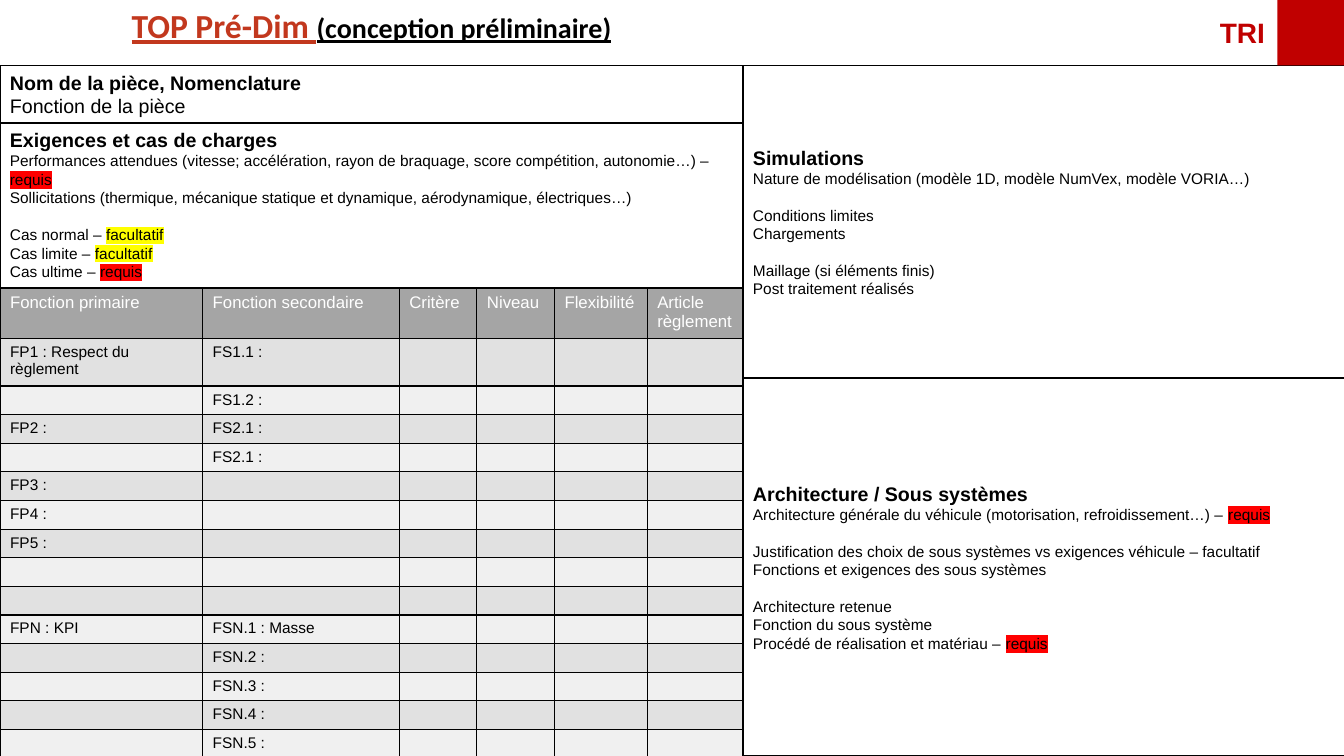
from dataclasses import dataclass

import pptx
import pptx.dml.color
import pptx.enum.shapes
import pptx.enum.text
import pptx.oxml
import pptx.oxml.ns
import pptx.util
from pptx.util import Inches

ANCHOR = pptx.enum.text.MSO_ANCHOR
CENTER = pptx.enum.text.PP_ALIGN.CENTER


@dataclass(frozen=True)
class Theme:
    font: str = "Arial"
    title_font: str = "Calibri"
    black: str = "000000"
    white: str = "FFFFFF"
    rust: str = "C2381E"
    red: str = "C00000"
    required: str = "FF0000"
    optional: str = "FFFF00"
    header: str = "A5A5A5"
    bands: tuple = ("E1E1E1", "F0F0F0")
    title: int = 24
    subtitle: int = 20
    heading: int = 14
    column: int = 12
    body: int = 11
    group_gap: int = 13
    line: int = 1


THEME = Theme()
LEFT_WIDTH, RIGHT_WIDTH, TOP = 7.37, 5.97, 0.65
REQUIRED = ("requis", THEME.required)
OPTIONAL = ("facultatif", THEME.optional)

# Panel bodies: groups of lines, each line a list of (text, highlight) spans
REQUIREMENTS = [
    [[("Performances attendues (vitesse; accélération, rayon de braquage, "
       "score compétition, autonomie…) – ", None), REQUIRED],
     [("Sollicitations (thermique, mécanique statique et dynamique, "
       "aérodynamique, électriques…)", None)]],
    [[("Cas normal – ", None), OPTIONAL],
     [("Cas limite – ", None), OPTIONAL],
     [("Cas ultime – ", None), REQUIRED]],
]
SIMULATIONS = [
    [[("Nature de modélisation (modèle 1D, modèle NumVex, modèle VORIA…)", None)]],
    [[("Conditions limites", None)], [("Chargements", None)]],
    [[("Maillage (si éléments finis)", None)], [("Post traitement réalisés", None)]],
]
ARCHITECTURE = [
    [[("Architecture générale du véhicule (motorisation, refroidissement…) – ", None),
      REQUIRED]],
    [[("Justification des choix de sous systèmes vs exigences véhicule – facultatif",
       None)],
     [("Fonctions et exigences des sous systèmes", None)]],
    [[("Architecture retenue", None)],
     [("Fonction du sous système", None)],
     [("Procédé de réalisation et matériau – ", None), REQUIRED]],
]

COLUMNS = [("Fonction primaire", 2.01), ("Fonction secondaire", 1.95),
           ("Critère", 0.77), ("Niveau", 0.77), ("Flexibilité", 0.92),
           ("Article règlement", 0.95)]
FUNCTIONS = [("FP1 : Respect du règlement", "FS1.1 :"), ("", "FS1.2 :"),
             ("FP2 :", "FS2.1 :"), ("", "FS2.1 :"),
             ("FP3 :", ""), ("FP4 :", ""), ("FP5 :", ""), ("", ""), ("", ""),
             ("FPN : KPI", "FSN.1 : Masse"), ("", "FSN.2 :"), ("", "FSN.3 :"),
             ("", "FSN.4 :"), ("", "FSN.5 :")]


def rgb(color):
    return pptx.dml.color.RGBColor.from_string(color)


def xml(tag, attributes="", content=""):
    namespace = pptx.oxml.ns.nsdecls("a")
    return pptx.oxml.parse_xml(
        f"<a:{tag} {namespace} {attributes}>{content}</a:{tag}>")


def solid(color):
    return f'<a:solidFill><a:srgbClr val="{color}"/></a:solidFill>'


def add_span(para, text, size, color=THEME.black, bold=False, font=THEME.font,
             underline=None, highlight=None):
    span = para.add_run()
    span.text = text
    span.font.name = font
    span.font.size = pptx.util.Pt(size)
    span.font.bold = bold
    span.font.underline = underline
    span.font.color.rgb = rgb(color)
    if highlight:
        color_fill = span.font._element.find(pptx.oxml.ns.qn("a:solidFill"))
        color_fill.addnext(xml("highlight", "", f'<a:srgbClr val="{highlight}"/>'))


def add_text_box(slide, left, top, width, height):
    box = slide.shapes.add_textbox(*map(Inches, (left, top, width, height)))
    box.text_frame.word_wrap = True
    return box.text_frame.paragraphs[0]


def add_rectangle(slide, left, top, width, height, fill=None):
    box = slide.shapes.add_shape(pptx.enum.shapes.MSO_SHAPE.RECTANGLE,
                                 *map(Inches, (left, top, width, height)))
    box.shadow.inherit = False
    if fill:
        box.fill.solid()
        box.fill.fore_color.rgb = rgb(fill)
        box.line.fill.background()
    else:
        box.fill.background()
        box.line.color.rgb = rgb(THEME.black)
        box.line.width = pptx.util.Pt(THEME.line)
    return box


def add_panel(slide, bounds, heading, groups, anchor=ANCHOR.TOP, size=THEME.body):
    frame = add_rectangle(slide, *bounds).text_frame
    frame.word_wrap = True
    frame.vertical_anchor = anchor
    title = frame.paragraphs[0]
    title.alignment = pptx.enum.text.PP_ALIGN.LEFT
    add_span(title, heading, THEME.heading, bold=True)
    for group_index, group in enumerate(groups):
        for line_index, line in enumerate(group):
            para = frame.add_paragraph()
            para.alignment = pptx.enum.text.PP_ALIGN.LEFT
            if group_index and not line_index:
                para.space_before = pptx.util.Pt(THEME.group_gap)
            for text, highlight in line:
                add_span(para, text, size, highlight=highlight)


def fill_cell(cell, text, size, color, fill):
    para = cell.text_frame.paragraphs[0]
    if text:
        add_span(para, text, size, color)
    else:
        para._p.append(xml("endParaRPr", f'sz="{size * 100}"'))
    properties = cell._tc.get_or_add_tcPr()
    for side in "LRTB":
        width = pptx.util.Pt(THEME.line)
        properties.append(xml(f"ln{side}", f'w="{width}"', solid(THEME.black)))
    cell.fill.solid()
    cell.fill.fore_color.rgb = rgb(fill)


def add_function_table(slide, left, top):
    heights = [0.5, 0.47] + [0.28] * (len(FUNCTIONS) - 1)
    table = slide.shapes.add_table(
        len(heights), len(COLUMNS), Inches(left), Inches(top),
        Inches(LEFT_WIDTH), Inches(sum(heights))).table
    for row, height in zip(table.rows, heights):
        row.height = Inches(height)
    for index, (name, width) in enumerate(COLUMNS):
        table.columns[index].width = Inches(width)
        fill_cell(table.cell(0, index), name, THEME.column, THEME.white, THEME.header)
        for row_index, labels in enumerate(FUNCTIONS):
            text = labels[index] if index < len(labels) else ""
            fill_cell(table.cell(row_index + 1, index), text, THEME.body,
                      THEME.black, THEME.bands[row_index % 2])


def main():
    deck = pptx.Presentation()
    deck.slide_width, deck.slide_height = Inches(13.33), Inches(7.5)
    slide = deck.slides.add_slide(deck.slide_layouts[6])

    # Title band
    title = add_text_box(slide, 0, 0, LEFT_WIDTH, 0.5)
    title.alignment = CENTER
    add_span(title, "TOP Pré-Dim ", THEME.title, THEME.rust, True,
             THEME.title_font, True)
    add_span(title, "(conception préliminaire)", THEME.subtitle, THEME.black, True,
             THEME.title_font, True)

    # Left column: part, requirements, functions
    add_panel(slide, (0, TOP, LEFT_WIDTH, 0.57), "Nom de la pièce, Nomenclature",
              [[[("Fonction de la pièce", None)]]], size=THEME.heading)
    add_panel(slide, (0, 1.22, LEFT_WIDTH, 1.63), "Exigences et cas de charges",
              REQUIREMENTS)
    add_function_table(slide, 0, 2.86)

    # Right column: simulations and architecture
    add_panel(slide, (LEFT_WIDTH, TOP, RIGHT_WIDTH, 3.1), "Simulations",
              SIMULATIONS, ANCHOR.MIDDLE)
    add_panel(slide, (LEFT_WIDTH, 3.75, RIGHT_WIDTH, 3.75),
              "Architecture / Sous systèmes", ARCHITECTURE, ANCHOR.MIDDLE)

    # Corner tag
    tag = add_text_box(slide, 12, 0.1, 0.67, 0.44)
    add_span(tag, "TRI", THEME.subtitle, THEME.red, True)
    add_rectangle(slide, 12.67, 0, 0.67, TOP, THEME.red)

    deck.save("out.pptx")


if __name__ == "__main__":
    main()
